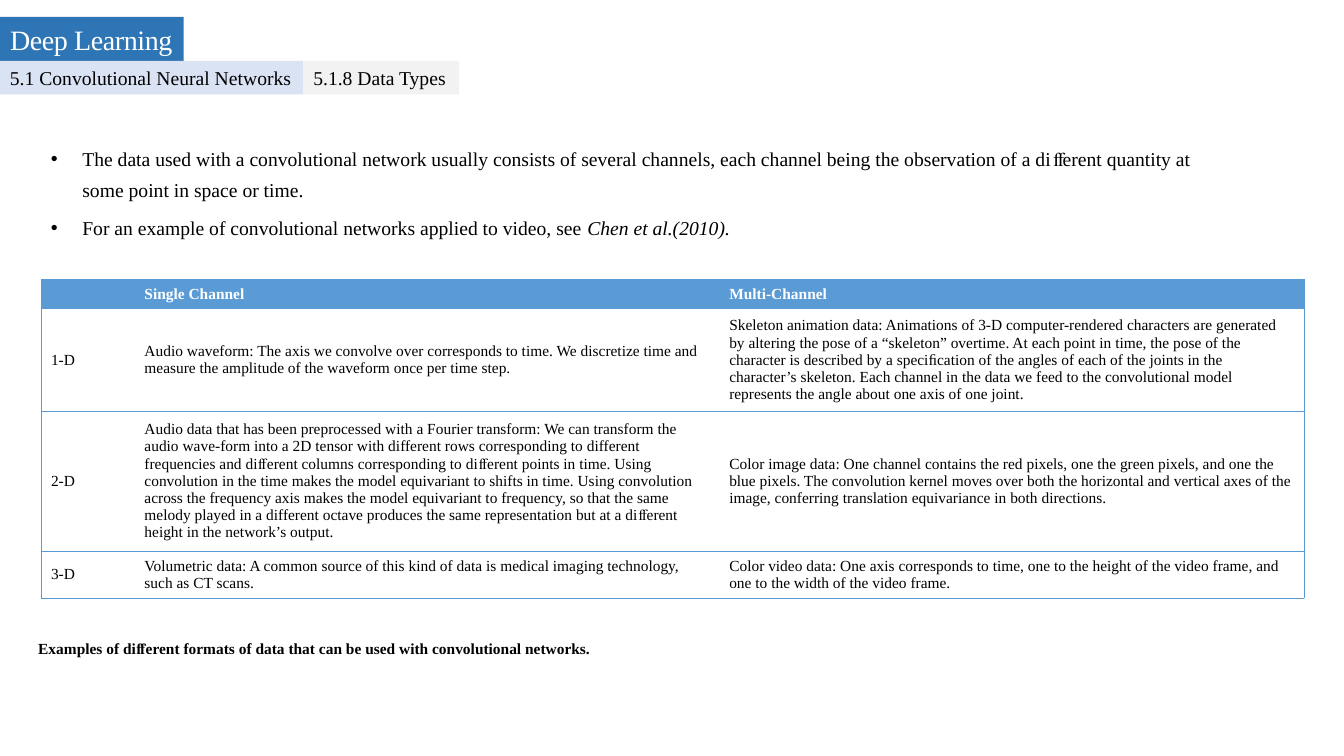
"""Build the slide on data types for convolutional neural networks."""
from dataclasses import dataclass

from lxml import etree
from pptx import Presentation
from pptx.dml.color import RGBColor
from pptx.enum.shapes import MSO_SHAPE
from pptx.enum.text import MSO_ANCHOR, MSO_AUTO_SIZE, PP_ALIGN
from pptx.oxml.ns import qn
from pptx.util import Emu, Pt

RECTANGLE = MSO_SHAPE.RECTANGLE
MIDDLE = MSO_ANCHOR.MIDDLE
NO_AUTOFIT = MSO_AUTO_SIZE.NONE
LEFT = PP_ALIGN.LEFT
TITLE_ONLY = 5
EMU_PER_PX = 9525


@dataclass(frozen=True)
class Theme:
    font: str = "Times New Roman"
    black: str = "000000"
    white: str = "FFFFFF"
    title_fill: str = "2E75B6"
    chapter_fill: str = "DAE3F3"
    section_fill: str = "F2F2F2"
    table_blue: str = "5B9BD5"
    title_size: int = 20
    body_size: int = 14
    table_size: int = 11
    border_width: float = 0.5


@dataclass(frozen=True)
class Frame:
    left: int
    top: int
    width: int
    height: int


@dataclass(frozen=True)
class Span:
    text: str
    size: int
    color: str
    bold: bool = False
    italic: bool = False


@dataclass(frozen=True)
class Tag:
    frame: Frame
    fill: str
    span: Span


THEME = Theme()
BLACK, WHITE = THEME.black, THEME.white
BODY, SMALL = THEME.body_size, THEME.table_size

TITLE = Tag(Frame(0, 16, 175, 42), THEME.title_fill,
            Span("Deep Learning", THEME.title_size, WHITE))
TAGS = [
    Tag(Frame(0, 58, 289, 32), THEME.chapter_fill,
        Span("5.1 Convolutional Neural Networks", BODY, BLACK)),
    Tag(Frame(289, 58, 148, 32), THEME.section_fill,
        Span("5.1.8 Data Types", BODY, BLACK)),
]
BULLETS = [
    [Span("The data used with a convolutional network usually consists of several channels, "
          "each channel being the observation of a diﬀerent quantity at some point in space "
          "or time.", BODY, BLACK)],
    [Span("For an example of convolutional networks applied to video, see ", BODY, BLACK),
     Span("Chen et al.(2010).", BODY, BLACK, italic=True)],
]
CAPTION = [[Span("Examples of diﬀerent formats of data that can be used with convolutional "
                 "networks.", SMALL, BLACK, bold=True)]]
BULLETS_FRAME = Frame(39, 129, 1118, 105)
CAPTION_FRAME = Frame(27, 599, 811, 31)
BULLET_INDENT = 30

TABLE_LEFT, TABLE_TOP = 39, 266
COLUMN_WIDTHS = [89, 557, 557]
ROW_HEIGHTS = [28, 97, 133, 45]
TABLE_ROWS = [
    ["", "Single Channel", "Multi-Channel"],
    ["1-D",
     "Audio waveform: The axis we convolve over corresponds to time. We discretize time and "
     "measure the amplitude of the waveform once per time step.",
     "Skeleton animation data: Animations of 3-D computer-rendered characters are generated by "
     "altering the pose of a “skeleton” overtime. At each point in time, the pose of the "
     "character is described by a speciﬁcation of the angles of each of the joints in the "
     "character’s skeleton. Each channel in the data we feed to the convolutional model "
     "represents the angle about one axis of one joint."],
    ["2-D",
     "Audio data that has been preprocessed with a Fourier transform: We can transform the "
     "audio wave-form into a 2D tensor with different rows corresponding to different "
     "frequencies and diﬀerent columns corresponding to diﬀerent points in time. Using "
     "convolution in the time makes the model equivariant to shifts in time. Using convolution "
     "across the frequency axis makes the model equivariant to frequency, so that the same "
     "melody played in a different octave produces the same representation but at a diﬀerent "
     "height in the network’s output.",
     "Color image data: One channel contains the red pixels, one the green pixels, and one the "
     "blue pixels. The convolution kernel moves over both the horizontal and vertical axes of "
     "the image, conferring translation equivariance in both directions."],
    ["3-D",
     "Volumetric data: A common source of this kind of data is medical imaging technology, "
     "such as CT scans.",
     "Color video data: One axis corresponds to time, one to the height of the video frame, "
     "and one to the width of the video frame."],
]


def px(length: int) -> Emu:
    return Emu(length * EMU_PER_PX)


def place(frame: Frame) -> tuple[Emu, Emu, Emu, Emu]:
    return px(frame.left), px(frame.top), px(frame.width), px(frame.height)


def add_span(paragraph, span: Span):
    run = paragraph.add_run()
    run.text = span.text
    run.font.name = THEME.font
    run.font.size = Pt(span.size)
    run.font.bold = span.bold
    run.font.italic = span.italic
    run.font.color.rgb = RGBColor.from_string(span.color)
    return run


def format_tag(shape, tag: Tag):
    shape.fill.solid()
    shape.fill.fore_color.rgb = RGBColor.from_string(tag.fill)
    shape.line.fill.background()
    text_frame = shape.text_frame
    text_frame.auto_size = NO_AUTOFIT
    text_frame.word_wrap = False
    text_frame.vertical_anchor = MIDDLE
    paragraph = text_frame.paragraphs[0]
    paragraph.alignment = LEFT
    return add_span(paragraph, tag.span)


def add_title(page) -> None:
    title = page.shapes.title
    title.left, title.top, title.width, title.height = place(TITLE.frame)
    run = format_tag(title, TITLE)
    run.font._element.set("spc", "-30")


def add_tag(page, tag: Tag) -> None:
    shape = page.shapes.add_shape(RECTANGLE, *place(tag.frame))
    shape.shadow.inherit = False
    format_tag(shape, tag)


def add_text(page, frame: Frame, paragraphs: list[list[Span]], bulleted: bool = False) -> None:
    text_frame = page.shapes.add_textbox(*place(frame)).text_frame
    text_frame.word_wrap = True
    for index, spans in enumerate(paragraphs):
        paragraph = text_frame.add_paragraph() if index else text_frame.paragraphs[0]
        paragraph.line_spacing = 1.3
        paragraph.space_before = Pt(5)
        if bulleted:
            properties = paragraph._p.get_or_add_pPr()
            properties.set("marL", str(px(BULLET_INDENT)))
            properties.set("indent", str(-px(BULLET_INDENT)))
            etree.SubElement(properties, qn("a:buFont")).set("typeface", "Arial")
            etree.SubElement(properties, qn("a:buChar")).set("char", "•")
        for span in spans:
            add_span(paragraph, span)


def set_borders(cell, visible: dict[str, bool]) -> None:
    properties = cell._tc.get_or_add_tcPr()
    for side, shown in visible.items():
        line = etree.SubElement(properties, qn(f"a:ln{side}"), w=str(Pt(THEME.border_width)))
        if shown:
            fill = etree.SubElement(line, qn("a:solidFill"))
            etree.SubElement(fill, qn("a:srgbClr")).set("val", THEME.table_blue)
        else:
            etree.SubElement(line, qn("a:noFill"))


def add_data_table(page) -> None:
    frame = Frame(TABLE_LEFT, TABLE_TOP, sum(COLUMN_WIDTHS), sum(ROW_HEIGHTS))
    table = page.shapes.add_table(len(ROW_HEIGHTS), len(COLUMN_WIDTHS), *place(frame)).table
    table.horz_banding = False
    for column, width in zip(table.columns, COLUMN_WIDTHS):
        column.width = px(width)
    for row_index, texts in enumerate(TABLE_ROWS):
        table.rows[row_index].height = px(ROW_HEIGHTS[row_index])
        header = row_index == 0
        for column_index, text in enumerate(texts):
            cell = table.cell(row_index, column_index)
            set_borders(cell, {"L": column_index == 0, "R": column_index == len(texts) - 1,
                               "T": True, "B": True})
            cell.fill.solid()
            cell.fill.fore_color.rgb = RGBColor.from_string(
                THEME.table_blue if header else WHITE)
            cell.vertical_anchor = MIDDLE
            paragraph = cell.text_frame.paragraphs[0]
            if text:
                add_span(paragraph, Span(text, SMALL, WHITE if header else BLACK, bold=header))
            else:
                etree.SubElement(paragraph._p, qn("a:endParaRPr"), sz=str(SMALL * 100))


def main() -> None:
    deck = Presentation()
    deck.slide_width, deck.slide_height = px(1280), px(720)
    page = deck.slides.add_slide(deck.slide_layouts[TITLE_ONLY])
    add_title(page)
    for tag in TAGS:
        add_tag(page, tag)
    add_text(page, BULLETS_FRAME, BULLETS, bulleted=True)
    add_data_table(page)
    add_text(page, CAPTION_FRAME, CAPTION)
    deck.save("out.pptx")


if __name__ == "__main__":
    main()
